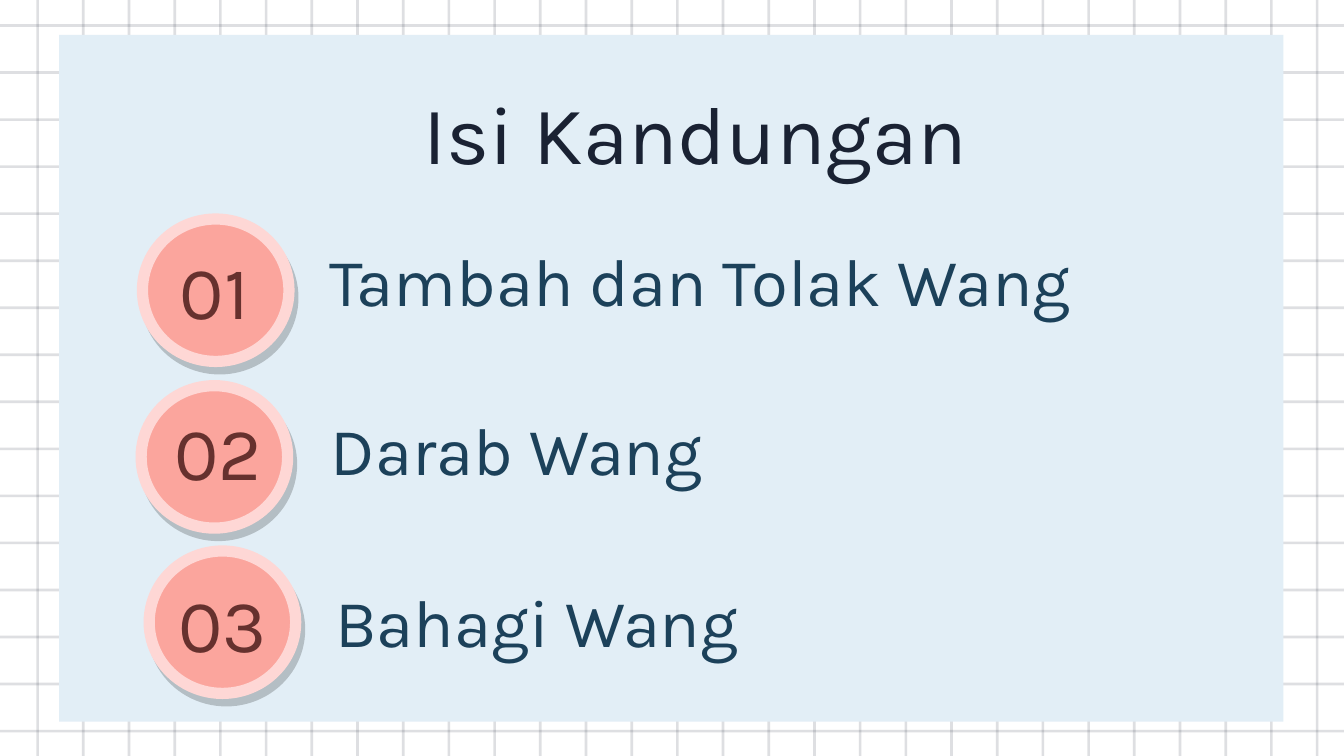
from dataclasses import dataclass

from lxml import etree
from pptx import Presentation
from pptx import util as u
from pptx.dml.color import RGBColor
from pptx.enum import shapes, text
from pptx.oxml import ns

SCALE = 9144
WIDE = 1000 * SCALE
HIGH = WIDE * 9 // 16
INK = RGBColor(0x1A, 0x22, 0x33)
PANEL = RGBColor(0xE2, 0xEE, 0xF6)
CORAL = RGBColor(0xFB, 0xA5, 0x9D)
BLUSH = RGBColor(0xFE, 0xD7, 0xD5)
NAVY = RGBColor(0x1C, 0x41, 0x5A)
MAROON = RGBColor(0x66, 0x31, 0x2E)
BLACK = RGBColor(0, 0, 0)
WHITE = RGBColor(0xFF, 0xFF, 0xFF)
RECT = shapes.MSO_SHAPE.RECTANGLE
OVAL = shapes.MSO_SHAPE.OVAL
BASE = text.MSO_ANCHOR.BOTTOM
MID = text.MSO_ANCHOR.MIDDLE


@dataclass(frozen=True)
class Box:
    x: int
    y: int
    w: int
    h: int

    def emu(self) -> list[int]:
        return [n * SCALE for n in (self.x, self.y, self.w, self.h)]


@dataclass(frozen=True)
class Style:
    size: int
    color: RGBColor
    anchor: text.MSO_ANCHOR
    inset: int


@dataclass(frozen=True)
class Topic:
    num: str
    label: str
    disc: Box
    badge: Box
    line: Box


TITLE = Style(44, INK, BASE, 10)
LABEL = Style(36, NAVY, BASE, 10)
BADGE = Style(40, MAROON, MID, 13)

TOPICS = [
    Topic("01", "Tambah dan Tolak Wang", Box(106, 163, 109, 106),
          Box(108, 189, 103, 53), Box(205, 185, 632, 63)),
    Topic("02", "Darab Wang", Box(105, 287, 109, 106),
          Box(111, 309, 103, 53), Box(224, 304, 321, 70)),
    Topic("03", "Bahagi Wang", Box(111, 410, 109, 106),
          Box(114, 437, 103, 53), Box(209, 425, 381, 77)),
]


def fade(node, color: RGBColor, share: int) -> None:
    tint = etree.SubElement(node, ns.qn("a:srgbClr"), val=str(color))
    etree.SubElement(tint, ns.qn("a:alpha"), val=str(share * 1000))


def draw(page, kind, box: Box, color: RGBColor):
    form = page.shapes.add_shape(kind, *box.emu())
    form.shadow.inherit = False
    form.fill.solid()
    form.fill.fore_color.rgb = color
    form.line.fill.background()
    return form


def rule(page, box: Box) -> None:
    bar = draw(page, RECT, box, INK)
    fill = bar._element.spPr.find(ns.qn("a:solidFill"))
    fill.clear()
    fade(fill, INK, 14)


def disc(page, box: Box) -> None:
    form = draw(page, OVAL, box, CORAL)
    form.line.color.rgb = BLUSH
    form.line.width = u.Pt(6)
    glow = form._element.spPr.find(ns.qn("a:effectLst"))
    cast = etree.SubElement(
        glow, ns.qn("a:outerShdw"), blurRad="0", dist=str(int(u.Pt(4.5))),
        dir=str(62 * 60000), algn="bl", rotWithShape="0")
    fade(cast, BLACK, 20)


def write(page, box: Box, words: str, style: Style) -> None:
    frame = page.shapes.add_textbox(*box.emu()).text_frame
    pad = style.inset * SCALE
    form = {"word_wrap": True, "vertical_anchor": style.anchor,
            "margin_left": pad, "margin_right": pad,
            "margin_top": pad, "margin_bottom": pad}
    for key, val in form.items():
        setattr(frame, key, val)
    para = frame.paragraphs[0]
    para.alignment = text.PP_ALIGN.CENTER
    run = para.add_run()
    run.text = words
    for key, val in {"name": "Karla", "size": u.Pt(style.size)}.items():
        setattr(run.font, key, val)
    run.font.color.rgb = style.color


def main() -> None:
    deck = Presentation()
    deck.slide_width, deck.slide_height = WIDE, HIGH
    page = deck.slides.add_slide(deck.slide_layouts[6])
    page.background.fill.solid()
    page.background.fill.fore_color.rgb = WHITE

    for row in range(16):
        rule(page, Box(-8, 18 + 35 * row, 1016, 2))
    for col in range(29):
        rule(page, Box(27 + 34 * col, -16, 2, 585))
    draw(page, RECT, Box(44, 26, 911, 511), PANEL)

    write(page, Box(189, 45, 657, 100), "Isi Kandungan", TITLE)
    for item in TOPICS:
        disc(page, item.disc)
        write(page, item.badge, item.num, BADGE)
        write(page, item.line, item.label, LABEL)
    deck.save("out.pptx")


if __name__ == "__main__":
    main()
